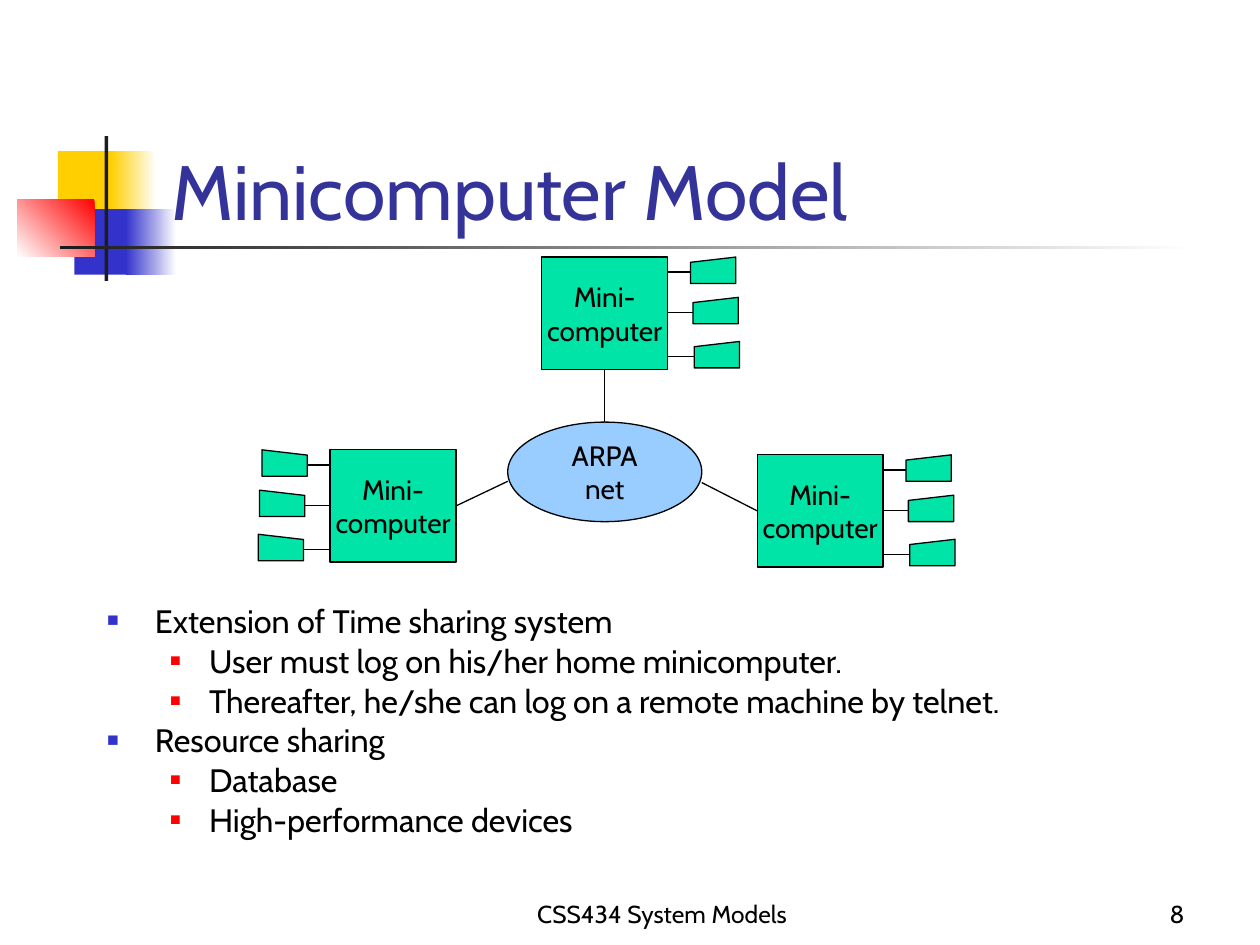
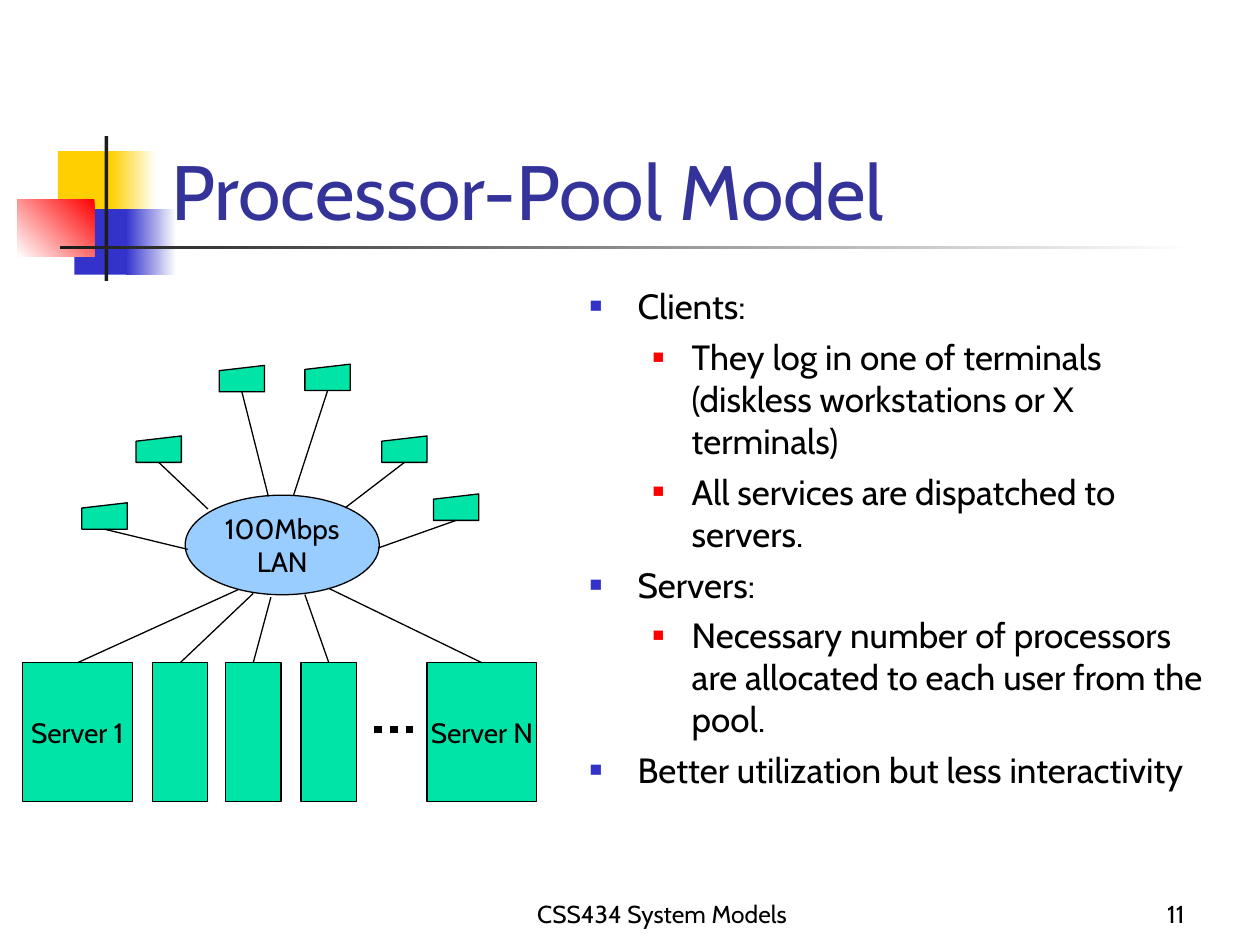
import lxml.etree
import pptx
import pptx.dml.color
import pptx.enum.dml
import pptx.enum.shapes
import pptx.enum.text
import pptx.oxml.ns
import pptx.util

Inches, Pt = pptx.util.Inches, pptx.util.Pt
qn = pptx.oxml.ns.qn
rgb = pptx.dml.color.RGBColor.from_string
SHAPE = pptx.enum.shapes.MSO_SHAPE
ALIGN = pptx.enum.text.PP_ALIGN
ANCHOR = pptx.enum.text.MSO_ANCHOR

# Shared look
FONT = "Cabin"
BLACK, WHITE, INK = "000000", "FFFFFF", "1C1C1C"
YELLOW, BLUE, RED, TITLE_BLUE = "FFCF01", "3333CC", "FF0000", "333399"
MACHINE, NETWORK = "00E4A8", "99CCFF"
TERMINAL_W, TERMINAL_H = 0.36, 0.21
NETWORK_W, NETWORK_H = 1.54, 0.79
BULLETS = [(BLUE, 60, 0.38, 0.38), (RED, 55, 0.81, 0.31)]  # colour, size %, margin, hang


def add_block(shapes, kind, left, top, width, height, fill, lines=()):
    block = shapes.add_shape(kind, Inches(left), Inches(top), Inches(width), Inches(height))
    block.shadow.inherit = False
    block.fill.solid()
    block.fill.fore_color.rgb = rgb(fill)
    block.line.color.rgb = rgb(BLACK)
    block.line.width = Pt(0.75)
    if lines:
        frame = block.text_frame
        frame.word_wrap = False
        frame.vertical_anchor = ANCHOR.MIDDLE
        frame.text = "\n".join(lines)
        for paragraph in frame.paragraphs:
            paragraph.alignment = ALIGN.CENTER
            paragraph.font.name = FONT
            paragraph.font.size = Pt(16)
            paragraph.font.color.rgb = rgb(BLACK)
    return block


def add_link(shapes, x1, y1, x2, y2, width=0.75):
    link = shapes.add_connector(pptx.enum.shapes.MSO_CONNECTOR.STRAIGHT,
                                Inches(x1), Inches(y1), Inches(x2), Inches(y2))
    link.line.color.rgb = rgb(BLACK)
    link.line.width = Pt(width)
    lxml.etree.SubElement(link.element.spPr, qn("a:effectLst"))
    return link


presentation = pptx.Presentation()
presentation.slide_width, presentation.slide_height = Inches(10), Inches(7.5)
layout = presentation.slide_layouts[1]

# Content: title, page, body box, line spacing, text size, (level, text) list
contents = [
    ("Minicomputer Model", "8", (0.75, 4.78, 8.44, 2.24), 0.8, 18.5, [
        (0, "Extension of Time sharing system"),
        (1, "User must log on his/her home minicomputer."),
        (1, "Thereafter, he/she can log on a remote machine by telnet."),
        (0, "Resource sharing"),
        (1, "Database"),
        (1, "High-performance devices"),
    ]),
    ("Processor-Pool Model", "11", (4.58, 2.21, 5.21, 4.54), 1.0, 20, [
        (0, "Clients:"),
        (1, "They log in one of terminals (diskless workstations or X terminals)"),
        (1, "All services are dispatched to servers."),
        (0, "Servers:"),
        (1, "Necessary number of processors are allocated to each user from the pool."),
        (0, "Better utilization but less interactivity"),
    ]),
]

# Titles, lists and footers
slides = []
for heading, page, body_box, spacing, size, points in contents:
    slide = presentation.slides.add_slide(layout)
    slides.append(slide)

    title, body = slide.shapes.title, slide.placeholders[1]
    for holder, box in ((title, (1.26, 0.67, 8.52, 1.25)), (body, body_box)):
        holder.left, holder.top, holder.width, holder.height = map(Inches, box)
        holder.text_frame.auto_size = pptx.enum.text.MSO_AUTO_SIZE.NONE
        holder.text_frame.word_wrap = True

    title.text_frame.vertical_anchor = ANCHOR.BOTTOM
    title.text_frame.text = heading
    heading_line = title.text_frame.paragraphs[0]
    heading_line.alignment = ALIGN.LEFT
    heading_line.font.name = FONT
    heading_line.font.size = Pt(44)
    heading_line.font.color.rgb = rgb(TITLE_BLUE)

    body.text_frame.vertical_anchor = ANCHOR.TOP
    body.text_frame.text = "\n".join(text for _, text in points)
    for index, (point, (level, _)) in enumerate(zip(body.text_frame.paragraphs, points)):
        color, percent, margin, hang = BULLETS[level]
        point.level = level
        properties = point._p.get_or_add_pPr()
        properties.set("marL", str(Inches(margin)))
        properties.set("indent", str(-Inches(hang)))
        bullet_color = lxml.etree.SubElement(properties, qn("a:buClr"))
        lxml.etree.SubElement(bullet_color, qn("a:srgbClr"), val=color)
        lxml.etree.SubElement(properties, qn("a:buSzPct"), val=str(percent * 1000))
        lxml.etree.SubElement(properties, qn("a:buChar"), char="■")
        point.alignment = ALIGN.LEFT
        point.line_spacing = spacing
        point.space_before = Pt(5 if index else 0)
        point.font.name = FONT
        point.font.size = Pt(size)
        point.font.color.rgb = rgb(BLACK)

    for text, left, width, alignment in (("CSS434 System Models", 3.67, 3.17, ALIGN.CENTER),
                                         (page, 7.42, 2.08, ALIGN.RIGHT)):
        footer = slide.shapes.add_textbox(Inches(left), Inches(6.92), Inches(width), Inches(0.5))
        footer.text_frame.word_wrap = True
        footer.text_frame.vertical_anchor = ANCHOR.BOTTOM
        footer.text_frame.text = text
        footer_line = footer.text_frame.paragraphs[0]
        footer_line.alignment = alignment
        footer_line.font.name = FONT
        footer_line.font.size = Pt(14)
        footer_line.font.color.rgb = rgb(BLACK)

minicomputer_slide, pool_slide = slides

# Corner squares and title rule, moved to the layout so both slides share them
ornaments = [  # left, top, width, height, start colour, end colour, clockwise angle
    (0.46, 1.2, 0.48, 0.52, YELLOW, None, 0),
    (0.88, 1.2, 0.36, 0.52, WHITE, YELLOW, 180),
    (0.59, 1.66, 0.46, 0.52, BLUE, None, 0),
    (1, 1.66, 0.4, 0.52, WHITE, BLUE, 180),
    (0.14, 1.58, 0.61, 0.46, RED, WHITE, 135),
    (0.83, 1.08, 0.03, 1.15, INK, None, 0),
    (0.48, 1.95, 9, 0.03, WHITE, INK, 180),
]
for number, (left, top, width, height, start, end, angle) in enumerate(ornaments, 20):
    ornament = add_block(minicomputer_slide.shapes, SHAPE.RECTANGLE, left, top, width, height, start)
    ornament.line.fill.background()
    if end:
        ornament.fill.gradient()
        ornament.fill.gradient_angle = 360 - angle
        for stop, color in zip(ornament.fill.gradient_stops, (start, end)):
            stop.color.rgb = rgb(color)
    ornament.element.nvSpPr.cNvPr.set("id", str(number))
    layout.shapes.element.append(ornament.element)

# Minicomputers, each with three terminals on one side
minicomputers = []
for left, top, mirrored in ((4.3, 2.04, False), (2.62, 3.57, True), (6.01, 3.61, False)):
    cluster = minicomputer_slide.shapes.add_group_shape().shapes
    minicomputers.append(add_block(cluster, SHAPE.RECTANGLE, left, top, 1, 0.89, MACHINE,
                                   ("Mini-", "computer")))
    for dx, dy in ((1.18, 0), (1.2, 0.32), (1.21, 0.67)):
        terminal_left = left + 1 - dx - TERMINAL_W if mirrored else left + dx
        terminal = add_block(cluster, SHAPE.FLOWCHART_MANUAL_INPUT, terminal_left, top + dy,
                             TERMINAL_W, TERMINAL_H, MACHINE)
        if mirrored:
            terminal.element.spPr.xfrm.set("flipH", "1")
        near, edge = (left + 1 - dx, left) if mirrored else (left + dx, left + 1)
        add_link(cluster, near, top + dy + 0.12, edge, top + dy + 0.12)

# Network joining the minicomputers
add_block(minicomputer_slide.shapes, SHAPE.OVAL, 4.03, 3.35, NETWORK_W, NETWORK_H, NETWORK,
          ("ARPA", "net"))
for minicomputer, side, x, y in zip(minicomputers, (2, 3, 1), (4.8, 4.03, 5.57), (3.35, 3.82, 3.83)):
    add_link(minicomputer_slide.shapes, x, y, x, y).begin_connect(minicomputer, side)

# Local network of the processor pool
pool = pool_slide.shapes
add_block(pool, SHAPE.OVAL, 1.47, 3.93, NETWORK_W, NETWORK_H, NETWORK, ("100Mbps", "LAN"))

# Servers: left, width, label, and where the link leaves the network
for left, width, label, x, y in (
    (0.18, 0.87, ("Server 1",), 1.89, 4.68),
    (1.21, 0.44, (), 2.01, 4.71),
    (1.79, 0.44, (), 2.15, 4.74),
    (2.39, 0.44, (), 2.42, 4.72),
    (3.39, 0.87, ("Server N",), 2.61, 4.67),
):
    server = add_block(pool, SHAPE.RECTANGLE, left, 5.26, width, 1.1, MACHINE, label)
    add_link(pool, x, y, x, y).end_connect(server, 0)

more_servers = add_link(pool, 2.97, 5.79, 3.28, 5.79, 4.5)
more_servers.line.dash_style = pptx.enum.dml.MSO_LINE.ROUND_DOT

# Terminals: left, top, and where the link reaches the network
for left, top, x, y in (
    (0.65, 3.99, 1.49, 4.36),
    (1.08, 3.46, 1.65, 4.04),
    (1.74, 2.9, 2.13, 3.94),
    (2.42, 2.89, 2.33, 3.93),
    (3.03, 3.46, 2.74, 4.03),
    (3.44, 3.92, 3, 4.35),
):
    terminal = add_block(pool, SHAPE.FLOWCHART_MANUAL_INPUT, left, top,
                         TERMINAL_W, TERMINAL_H, MACHINE)
    add_link(pool, x, y, x, y).begin_connect(terminal, 2)

presentation.save("out.pptx")
